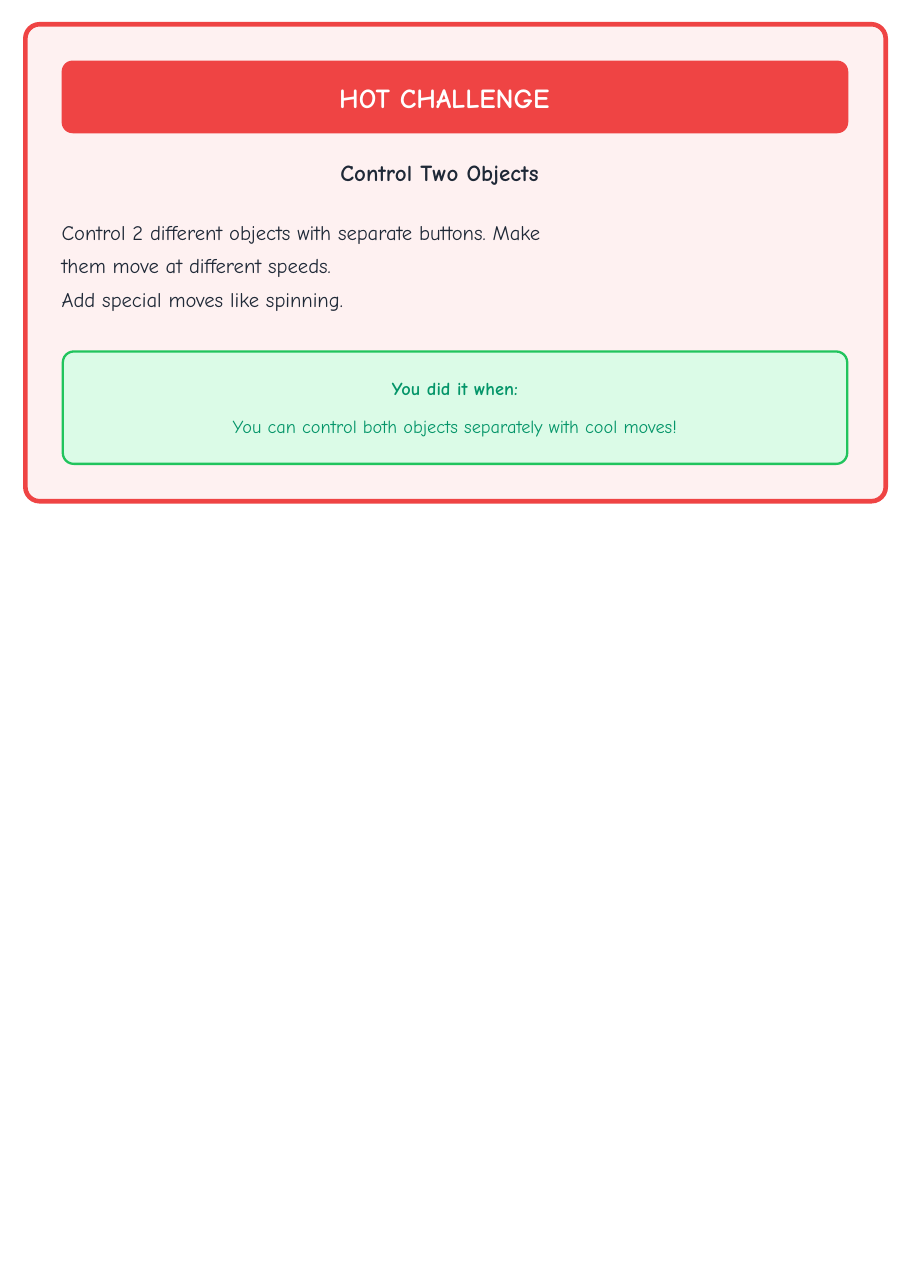
import pptx
import pptx.util
import pptx.dml.color
import pptx.enum.shapes
import pptx.enum.text

Inches = pptx.util.Inches
Pt = pptx.util.Pt
ALIGN = pptx.enum.text.PP_ALIGN
ANCHOR = pptx.enum.text.MSO_ANCHOR
COLORS = {
    "blush": "FEF1F1",
    "red": "EF4444",
    "mint": "DBFBE7",
    "green": "21C45D",
    "white": "FFFFFF",
    "ink": "1F2937",
    "teal": "049569",
}


def color(name):
    return pptx.dml.color.RGBColor.from_string(COLORS[name])


def write(frame, ink, align, lines):
    frame.word_wrap = True
    frame.margin_left = frame.margin_right = frame.margin_bottom = 0
    frame.margin_top = Inches(0.01)
    for index, (words, size, bold, indent, before, spacing) in enumerate(lines):
        para = frame.add_paragraph() if index else frame.paragraphs[0]
        para.text = words
        para.alignment = align
        para.space_before = Pt(before)
        para.line_spacing = float(spacing)
        para.font.name = "Comic Neue"
        para.font.size = Pt(size)
        para.font.bold = bold
        para.font.color.rgb = color(ink)
        para._p.get_or_add_pPr().set("marL", str(Inches(indent)))


deck = pptx.Presentation()
deck.slide_width = Inches(8.26)
deck.slide_height = Inches(11.69)
page = deck.slides.add_slide(deck.slide_layouts[6])

panels = [
    (0.23, 0.22, 7.81, 4.33, 0.13, "blush", "red", 3, []),
    (0.56, 0.55, 7.14, 0.66, 0.1, "red", None, 0, [
        ("HOT CHALLENGE", 18, True, 2.49, 0, 1),
    ]),
    (0.57, 3.19, 7.12, 1.02, 0.1, "mint", "green", 1.5, []),
]
for left, top, width, height, radius, fill, line, weight, lines in panels:
    panel = page.shapes.add_shape(
        pptx.enum.shapes.MSO_SHAPE.ROUNDED_RECTANGLE,
        Inches(left), Inches(top), Inches(width), Inches(height))
    panel.shadow.inherit = False
    panel.adjustments[0] = radius / height
    panel.fill.solid()
    panel.fill.fore_color.rgb = color(fill)
    if line:
        panel.line.color.rgb = color(line)
        panel.line.width = Pt(weight)
    else:
        panel.line.fill.background()
    if lines:
        panel.text_frame.vertical_anchor = ANCHOR.MIDDLE
        write(panel.text_frame, "white", ALIGN.LEFT, lines)

texts = [
    (0.55, 1.43, 4.64, 1.42, "ink", ALIGN.LEFT, [
        ("Control Two Objects", 15, True, 2.54, 0, 1),
        ("Control 2 different objects with separate buttons. Make them move at different speeds.",
         13.5, False, 0.01, 16.2, 1.34),
        ("Add special moves like spinning.", 13.5, False, 0.01, 6, 1),
    ]),
    (1.91, 3.41, 4.44, 0.57, "teal", ALIGN.CENTER, [
        ("You did it when:", 12, True, 0, 0, 1),
        ("You can control both objects separately with cool moves!", 12, False, 0, 10.8, 1),
    ]),
]
for left, top, width, height, ink, align, lines in texts:
    box = page.shapes.add_textbox(Inches(left), Inches(top), Inches(width), Inches(height))
    write(box.text_frame, ink, align, lines)

deck.save("out.pptx")
